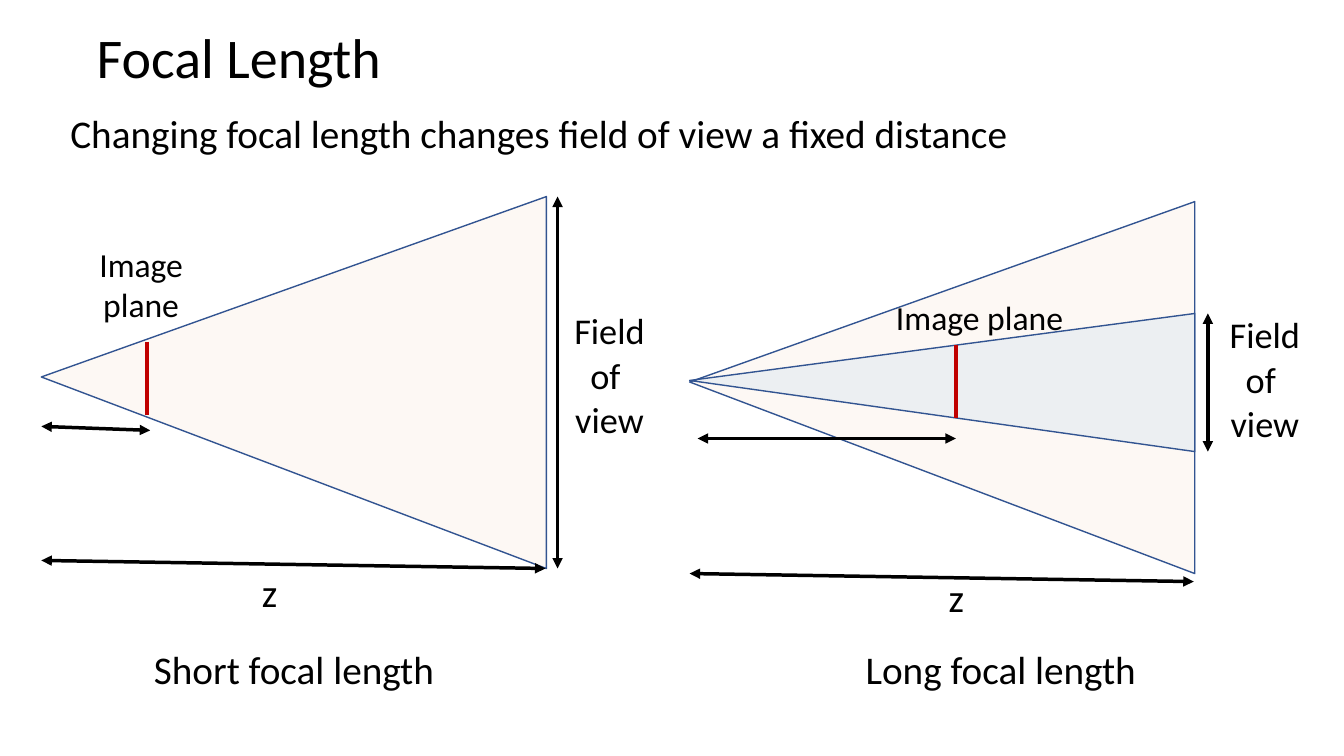
from typing import NamedTuple

from lxml import etree
from pptx import Presentation
from pptx.dml.color import RGBColor
from pptx.enum.shapes import MSO_CONNECTOR, MSO_SHAPE
from pptx.enum.text import MSO_ANCHOR, MSO_AUTO_SIZE, PP_ALIGN
from pptx.oxml.ns import qn
from pptx.util import Pt

PX = 9144  # EMU per px, 100 px to the inch
FONT = "Calibri"
BLACK = RGBColor(0x00, 0x00, 0x00)
RED = RGBColor(0xC0, 0x00, 0x00)
EDGE = RGBColor(0x32, 0x54, 0x91)
PEACH = RGBColor(0xFB, 0xE5, 0xD6)
PALE_BLUE = RGBColor(0xBD, 0xD7, 0xEE)
TRIANGLE = MSO_SHAPE.ISOSCELES_TRIANGLE
STRAIGHT = MSO_CONNECTOR.STRAIGHT
LEFT, CENTER = PP_ALIGN.LEFT, PP_ALIGN.CENTER
TOP, MIDDLE = MSO_ANCHOR.TOP, MSO_ANCHOR.MIDDLE
GROW, FIXED = MSO_AUTO_SIZE.SHAPE_TO_FIT_TEXT, MSO_AUTO_SIZE.NONE

CONE_LENGTH = 501
APEX = 0.515


class Cone(NamedTuple):
    x: int
    y: int
    breadth: int
    color: RGBColor


class Line(NamedTuple):
    x1: int
    y1: int
    x2: int
    y2: int
    color: RGBColor = BLACK
    arrows: bool = True


class Label(NamedTuple):
    x: int
    y: int
    w: int
    h: int
    lines: tuple[str, ...]
    size: float = 28
    align: PP_ALIGN = CENTER
    spacing: float = 0.9
    anchor: MSO_ANCHOR = TOP
    fit: MSO_AUTO_SIZE = FIXED


def field_of_view(x: int, y: int) -> Label:
    return Label(x, y, 91, 137, ("Field ", "of ", "view"), 25.9, spacing=0.7)


def distance(x: int, y: int) -> Line:
    return Line(x, y, x + 500, y + 8)


# Wide cones on both sides, narrow cone on the right
CONES = [
    Cone(750, 134, 369, PEACH),
    Cone(107, 129, 369, PEACH),
    Cone(866, 129, 137, PALE_BLUE),
]

LINES = [
    # Image planes
    Line(146, 339, 146, 412, RED, False),
    Line(948, 342, 948, 415, RED, False),
    # Fields of view
    Line(553, 195, 553, 564),
    Line(1198, 311, 1198, 448),
    # Focal lengths
    Line(41, 423, 149, 427),
    Line(692, 435, 948, 435),
    # Distances z
    distance(41, 556),
    distance(684, 569),
]

LABELS = [
    Label(86, 12, 1150, 95, ("Focal Length",), 40, LEFT, anchor=MIDDLE),
    Label(60, 109, 1088, 65,
          ("Changing focal length changes field of view a fixed distance",),
          align=LEFT),
    Label(77, 641, 429, 65, ("Short focal length",)),
    Label(778, 641, 429, 62, ("Long focal length",)),
    field_of_view(559, 313),
    field_of_view(1209, 317),
    Label(230, 564, 75, 54, ("z",)),
    Label(911, 569, 75, 54, ("z",)),
    Label(86, 237, 108, 91, ("Image plane",), 24, spacing=1.0, fit=GROW),
    Label(859, 290, 225, 50, ("Image plane",), 24, spacing=1.0, fit=GROW),
]


def add_cone(s, cone: Cone) -> None:
    sp = s.shapes.add_shape(TRIANGLE, cone.x * PX, cone.y * PX,
                            cone.breadth * PX, CONE_LENGTH * PX)
    sp.rotation = 270
    sp.adjustments[0] = APEX
    sp.shadow.inherit = False
    sp.fill.solid()
    sp.fill.fore_color.rgb = cone.color
    color = sp._element.spPr.find(qn("a:solidFill")).find(qn("a:srgbClr"))
    etree.SubElement(color, qn("a:alpha")).set("val", "25000")
    sp.line.color.rgb = EDGE
    sp.line.width = Pt(1)


def add_line(s, line: Line) -> None:
    cxn = s.shapes.add_connector(STRAIGHT, line.x1 * PX, line.y1 * PX,
                                 line.x2 * PX, line.y2 * PX)
    cxn.line.color.rgb = line.color
    cxn.line.width = Pt(2.5)
    if line.arrows:
        ln = cxn.line._get_or_add_ln()
        for end in ("a:headEnd", "a:tailEnd"):
            etree.SubElement(ln, qn(end)).set("type", "triangle")
    etree.SubElement(cxn._element.spPr, qn("a:effectLst"))


def add_label(s, label: Label) -> None:
    sp = s.shapes.add_textbox(label.x * PX, label.y * PX,
                              label.w * PX, label.h * PX)
    tf = sp.text_frame
    tf.word_wrap = True
    tf.auto_size = label.fit
    tf.vertical_anchor = label.anchor
    for i, text in enumerate(label.lines):
        p = tf.add_paragraph() if i else tf.paragraphs[0]
        p.alignment = label.align
        p.line_spacing = label.spacing
        if i:
            p.space_before = Pt(10)
        r = p.add_run()
        r.text = text
        r.font.name = FONT
        r.font.size = Pt(label.size)
        r.font.color.rgb = BLACK


def main() -> None:
    prs = Presentation()
    prs.slide_width, prs.slide_height = 1333 * PX, 750 * PX
    s = prs.slides.add_slide(prs.slide_layouts[6])
    for cone in CONES:
        add_cone(s, cone)
    for line in LINES:
        add_line(s, line)
    for label in LABELS:
        add_label(s, label)
    prs.save("out.pptx")


if __name__ == "__main__":
    main()
